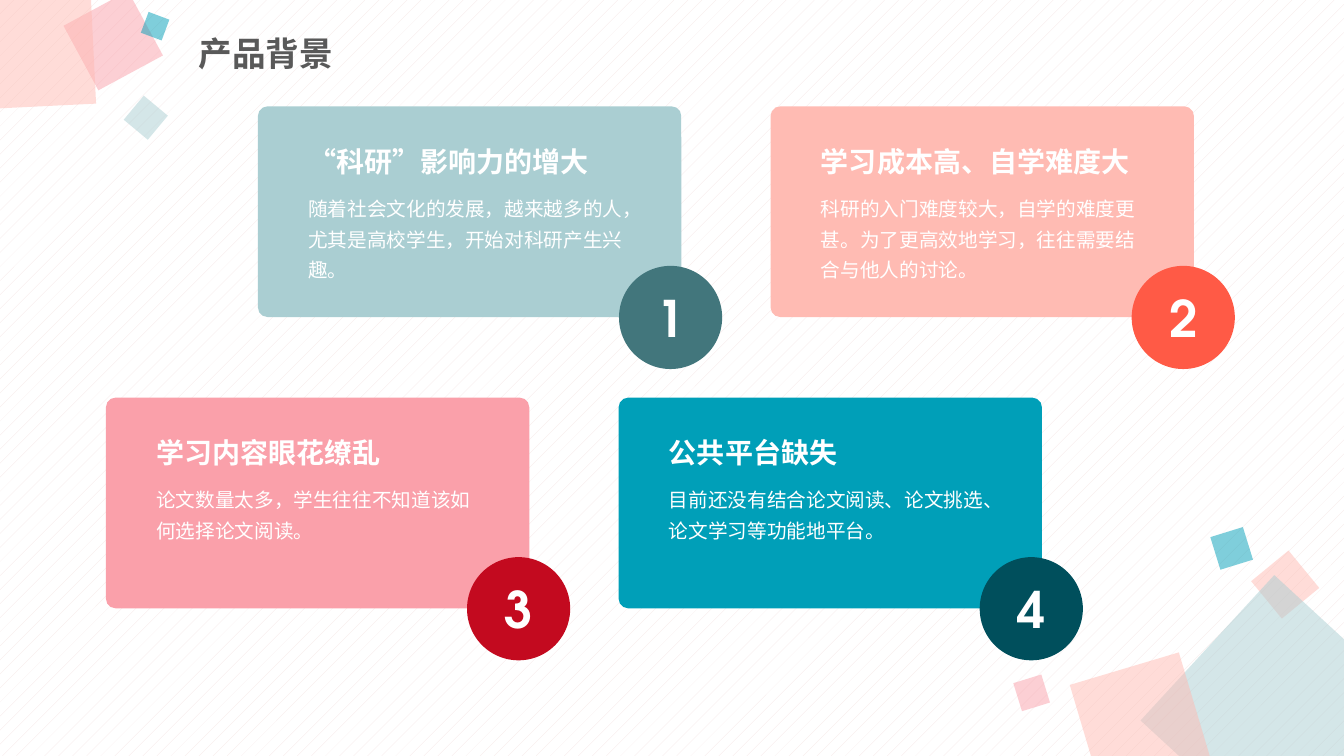
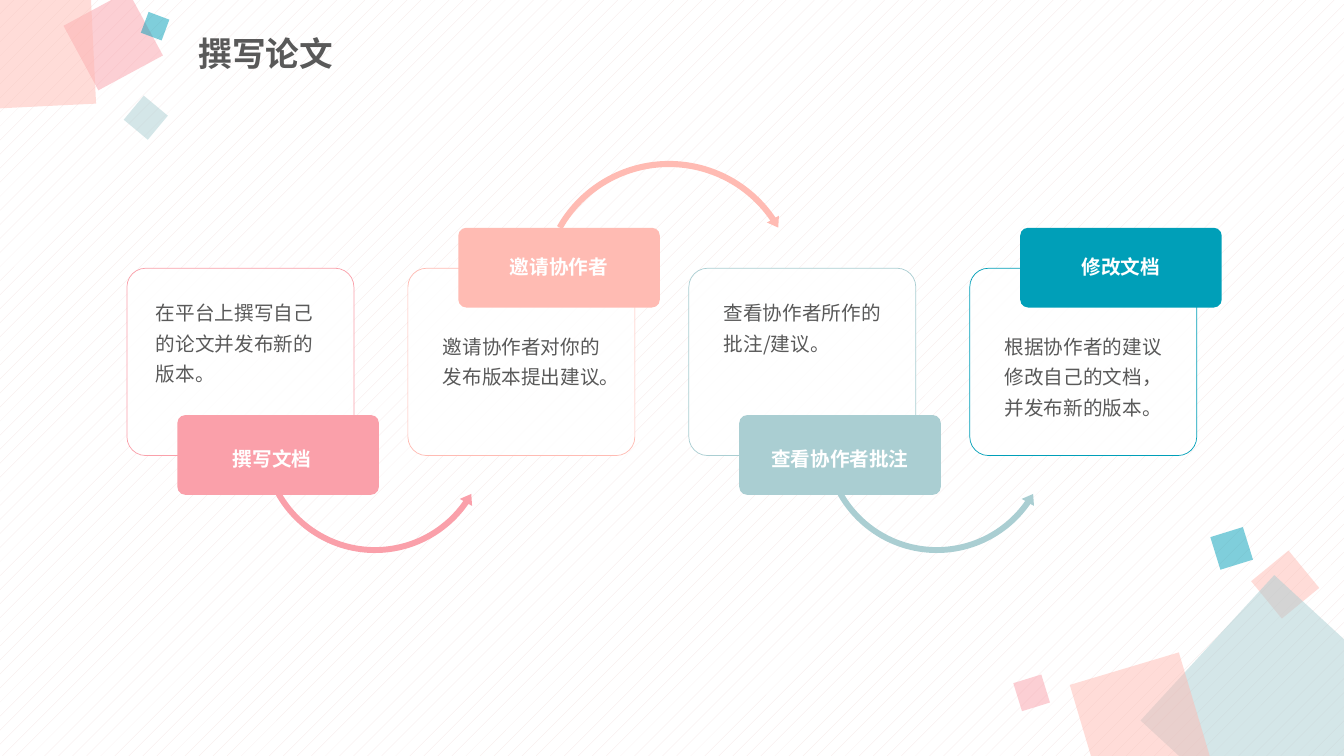
from lxml.etree import SubElement
from pptx import Presentation
from pptx.dml.color import RGBColor
from pptx.enum.dml import MSO_PATTERN
from pptx.enum.lang import MSO_LANGUAGE_ID
from pptx.enum.shapes import MSO_SHAPE
from pptx.enum.text import MSO_ANCHOR, MSO_AUTO_SIZE, PP_ALIGN
from pptx.oxml.ns import qn
from pptx.util import Cm, Pt

CJK, DISPLAY = "Noto Sans CJK SC", "TeX Gyre Adventor"
WHITE, GREY = "FFFFFF", "595959"
MIST, PEACH, PINK, TEAL = "AACED2", "FFBBB3", "FAA0AA", "009FB8"

CONFETTI = [
    (31.78, 14.12, 1.22, 320.6, PEACH),
    (29.77, 15.52, 4.98, 42.6, MIST),
    (27.31, 16.79, 2.87, 343.4, PEACH),
    (25.63, 17.09, 0.74, 342.8, PINK),
    (30.61, 13.39, 0.86, 342.8, TEAL),
    (1.93, 0.1, 1.85, 331.6, PINK),
    (-1.17, -0.81, 3.51, 357.2, PEACH),
    (3.28, 2.57, 0.79, 309.8, MIST),
    (3.63, 0.38, 0.56, 290.5, TEAL),
]

REASONS = [
    ("“科研”影响力的增大",
     "随着社会文化的发展，越来越多的人，尤其是高校学生，开始对科研产生兴趣。", MIST, "42767C"),
    ("学习成本高、自学难度大",
     "科研的入门难度较大，自学的难度更甚。为了更高效地学习，往往需要结合与他人的讨论。",
     PEACH, "FF5A46"),
    ("学习内容眼花缭乱", "论文数量太多，学生往往不知道该如何选择论文阅读。", PINK, "C30A1F"),
    ("公共平台缺失", "目前还没有结合论文阅读、论文挑选、论文学习等功能地平台。", TEAL, "004F5C"),
]

STEPS = [
    ("撰写文档", "在平台上撰写自己的论文并发布新的版本。", PINK, 0.15),
    ("邀请协作者", "邀请协作者对你的发布版本提出建议。", PEACH, 0),
    ("查看协作者批注", "查看协作者所作的批注/建议。", MIST, 0),
    ("修改文档", "根据协作者的建议修改自己的文档，并发布新的版本。", TEAL, 0),
]

DIP = (MSO_SHAPE.LEFT_CIRCULAR_ARROW, 3.28, 8.1, 5.94, (0.025, 3.094, 20.849, 90.245, 0.03))
ARCH = (MSO_SHAPE.CIRCULAR_ARROW, 3.24, 3.96, 6.68, (0.023, 2.738, 195.507, 125.755, 0.026))


def rgb(value):
    """Turn a hex string into a colour."""
    return RGBColor.from_string(value)


class Deck:
    """Holds the shared style and the slide being filled."""

    def __init__(self):
        """Set the slide size and the patterned background."""
        self.prs = Presentation()
        self.prs.slide_width, self.prs.slide_height = Cm(33.87), Cm(19.05)
        self.layout = self.prs.slide_layouts[5]
        self.slide = None
        backdrop = self.prs.slide_master.background.fill
        backdrop.patterned()
        backdrop.pattern = MSO_PATTERN.PERCENT_5
        backdrop.fore_color.rgb = rgb("F5E5E4")
        backdrop.back_color.rgb = rgb(WHITE)

    def set_text(self, frame, words, size, color, font=CJK, bold=False,
                 align=PP_ALIGN.LEFT, spacing=1.3):
        """Fill a text frame with one styled paragraph."""
        frame.text = words
        frame.word_wrap = True
        paragraph = frame.paragraphs[0]
        paragraph.alignment = align
        paragraph.line_spacing = spacing
        for run in paragraph.runs:
            run.font.size, run.font.bold = Pt(size), bold
            run.font.name = font
            run.font.color.rgb = rgb(color)
            run.font.language_id = MSO_LANGUAGE_ID.SIMPLIFIED_CHINESE
            SubElement(run._r.get_or_add_rPr(), qn("a:ea")).set("typeface", CJK)
        return paragraph

    def start_slide(self, heading):
        """Add a slide with its title."""
        self.slide = self.prs.slides.add_slide(self.layout)
        title = self.slide.shapes.title
        title.left, title.top, title.width, title.height = Cm(4.75), Cm(0.66), Cm(15.57), Cm(1.47)
        paragraph = self.set_text(title.text_frame, heading, 24, GREY, bold=True, spacing=0.9)
        paragraph.space_before = Pt(10)
        title.text_frame.auto_size = MSO_AUTO_SIZE.NONE
        title.text_frame.vertical_anchor = MSO_ANCHOR.MIDDLE

    def shape(self, kind, left, top, width, height, fill, opacity=100, outline=None, adjust=()):
        """Add a flat preset shape."""
        shape = self.slide.shapes.add_shape(kind, Cm(left), Cm(top), Cm(width), Cm(height))
        shape.shadow.inherit = False
        shape.fill.solid()
        shape.fill.fore_color.rgb = rgb(fill)
        if opacity < 100:
            tint = shape.element.spPr.find(".//" + qn("a:srgbClr"))
            SubElement(tint, qn("a:alpha")).set("val", str(opacity * 1000))
        if outline:
            shape.line.color.rgb = rgb(outline)
            shape.line.width = Pt(0.5)
        else:
            shape.line.fill.background()
        for index, value in enumerate(adjust):
            shape.adjustments[index] = value
        return shape

    def text(self, left, top, width, height, words, size, color, **style):
        """Add a wrapped text box."""
        box = self.slide.shapes.add_textbox(Cm(left), Cm(top), Cm(width), Cm(height))
        self.set_text(box.text_frame, words, size, color, **style)

    def decorate_layout(self):
        """Place the tilted squares on the shared layout."""
        for index, (left, top, side, angle, color) in enumerate(CONFETTI):
            square = self.shape(MSO_SHAPE.RECTANGLE, left, top, side, side, color, 50)
            square.rotation = angle
            square.element.nvSpPr.cNvPr.id = 20 + index
            self.layout.shapes.element.append(square.element)

    def reason(self, number, left, top, heading, detail, color, badge_color):
        """Add a numbered card."""
        self.shape(MSO_SHAPE.ROUNDED_RECTANGLE, left, top, 10.67, 5.31, color, adjust=[0.046])
        badge = self.shape(MSO_SHAPE.OVAL, left + 9.1, top + 4.02, 2.6, 2.6, badge_color)
        self.set_text(badge.text_frame, str(number), 36, WHITE, DISPLAY, True,
                      PP_ALIGN.CENTER, 1)
        badge.text_frame.vertical_anchor = MSO_ANCHOR.MIDDLE
        self.text(left + 1.02, top + 1.98, 8.81, 2.51, detail, 14, WHITE)
        self.text(left + 1.02, top + 0.58, 8.81, 1.24, heading, 20, WHITE,
                  font=DISPLAY, bold=True)

    def step(self, left, raised, linked, name, detail, color, shift):
        """Add a process step, its label and the arrow to the next one."""
        self.shape(MSO_SHAPE.ROUNDED_RECTANGLE, left, 6.76, 5.72, 4.72, WHITE, 90, color, [0.1])
        if linked:
            kind, offset, top, side, bend = ARCH if raised else DIP
            self.shape(kind, left + offset, top, side, side, color, adjust=bend)
        label = self.shape(MSO_SHAPE.ROUNDED_RECTANGLE, left + 1.27, 5.74 if raised else 10.46,
                           5.08, 2.01, color, adjust=[0.1])
        frame = label.text_frame
        self.set_text(frame, name, 14, WHITE, DISPLAY, True, PP_ALIGN.CENTER)
        frame.vertical_anchor = MSO_ANCHOR.MIDDLE
        frame.margin_right = Cm(0.25 + 2 * shift)
        frame.margin_bottom = Cm(0.33 if raised else 0.13)
        self.text(left + 0.63 - shift, 8.13 if raised else 7.29, 4.78, 2.51, detail, 14, GREY)


def main():
    """Build and save both slides."""
    deck = Deck()
    deck.start_slide("产品背景")
    deck.decorate_layout()
    for index, reason in enumerate(REASONS):
        row, column = divmod(index, 2)
        deck.reason(index + 1, 6.5 - 3.83 * row + 12.92 * column, 2.68 + 7.34 * row, *reason)

    deck.start_slide("撰写论文")
    for index, step in enumerate(STEPS):
        deck.step(3.2 + 7.08 * index, index % 2 == 1, index < len(STEPS) - 1, *step)
    deck.prs.save("out.pptx")


if __name__ == "__main__":
    main()
